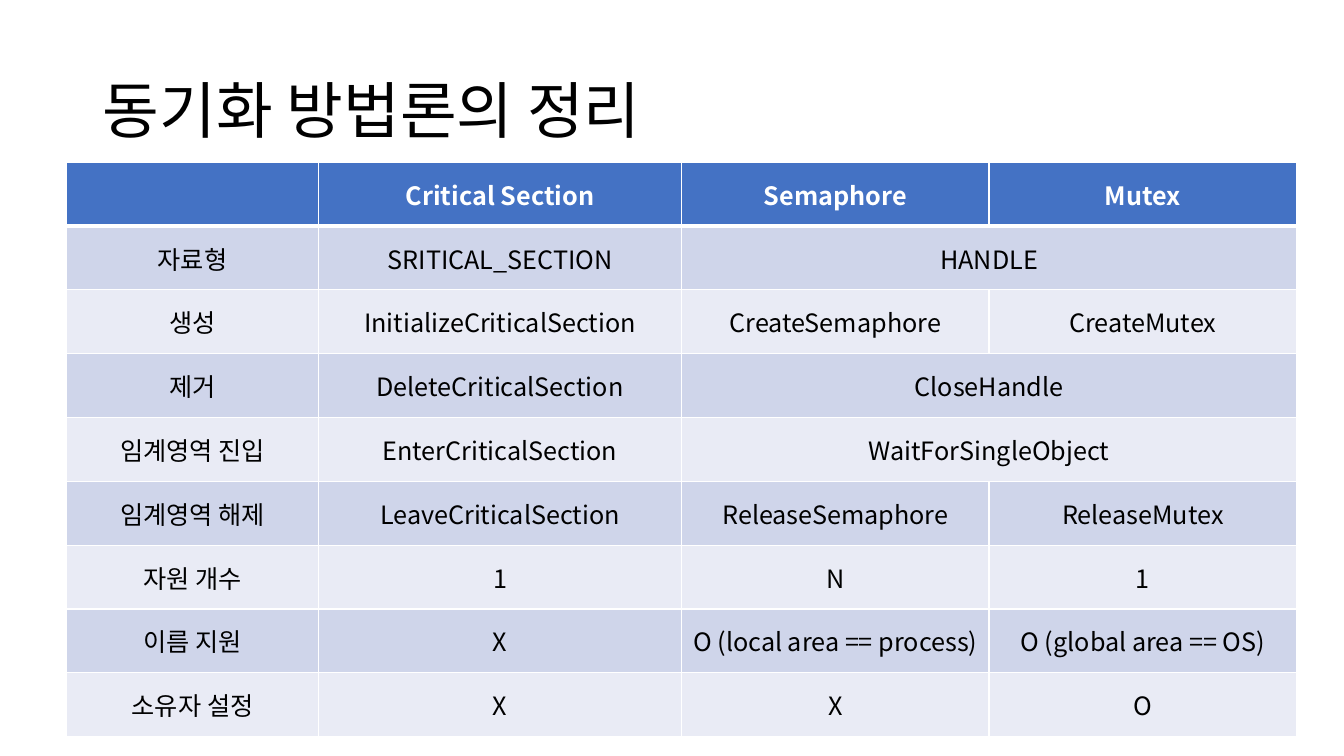
from dataclasses import dataclass

from lxml.etree import SubElement
from pptx import Presentation
from pptx.dml.color import RGBColor
from pptx.enum.text import MSO_ANCHOR as Anchor, PP_ALIGN as Align
from pptx.oxml.ns import qn
from pptx.util import Inches, Pt


@dataclass(frozen=True)
class Theme:
    font: str = "Noto Sans CJK KR"
    title_size: int = 44
    table_size: int = 18
    text: str = "000000"
    white: str = "FFFFFF"
    header: str = "4472C4"
    bands: tuple = ("CFD5EA", "E9EBF5")


theme = Theme()


def format_text(para, size, color, bold=False):
    for span in para.runs:
        span.font.name = theme.font
        span.font.size = Pt(size)
        span.font.bold = bold
        span.font.color.rgb = RGBColor.from_string(color)
        SubElement(span.font._element, qn("a:ea"), typeface=theme.font)


def add_border(cell, side, width):
    line = SubElement(cell._tc.get_or_add_tcPr(), qn(f"a:ln{side}"), w=str(Pt(width)))
    fill = SubElement(line, qn("a:solidFill"))
    SubElement(fill, qn("a:srgbClr"), val=theme.white)


deck = Presentation()
deck.slide_width, deck.slide_height = Inches(13.33), Inches(7.5)
page = deck.slides.add_slide(deck.slide_layouts[5])

# Title
title = page.shapes.title
title.left, title.top = Inches(0.92), Inches(0.4)
title.width, title.height = Inches(11.5), Inches(1.45)
title.text_frame.text = "동기화 방법론의 정리"
title.text_frame.vertical_anchor = Anchor.MIDDLE
para = title.text_frame.paragraphs[0]
para.alignment = Align.LEFT
para.line_spacing = 0.9
format_text(para, theme.title_size, theme.text)

# Comparison table: None continues the cell to its left
rows = [
    ("", "Critical Section", "Semaphore", "Mutex"),
    ("자료형", "SRITICAL_SECTION", "HANDLE", None),
    ("생성", "InitializeCriticalSection", "CreateSemaphore", "CreateMutex"),
    ("제거", "DeleteCriticalSection", "CloseHandle", None),
    ("임계영역 진입", "EnterCriticalSection", "WaitForSingleObject", None),
    ("임계영역 해제", "LeaveCriticalSection", "ReleaseSemaphore", "ReleaseMutex"),
    ("자원 개수", "1", "N", "1"),
    ("이름 지원", "X", "O (local area == process)", "O (global area == OS)"),
    ("소유자 설정", "X", "X", "O"),
]
column_widths = (2.5, 3.6, 3.05, 3.05)
table = page.shapes.add_table(
    len(rows), len(column_widths), Inches(0.66), Inches(1.61), Inches(12.2), Inches(5.7)
).table
for column, width in zip(table.columns, column_widths):
    column.width = Inches(width)

for r, labels in enumerate(rows):
    table.rows[r].height = Inches(5.7 / len(rows))
    is_header = r == 0
    background = theme.header if is_header else theme.bands[(r - 1) % 2]
    for c, label in enumerate(labels):
        cell = table.cell(r, c)
        for side in "LRTB":
            thick = (r, side) in ((0, "B"), (1, "T"))
            add_border(cell, side, 3 if thick else 1)
        cell.fill.solid()
        cell.fill.fore_color.rgb = RGBColor.from_string(background)
        if label is None:
            table.cell(r, c - 1).merge(cell)
            continue
        cell.vertical_anchor = Anchor.MIDDLE
        cell.text_frame.text = label
        para = cell.text_frame.paragraphs[0]
        para.alignment = Align.CENTER
        color = theme.white if is_header else theme.text
        format_text(para, theme.table_size, color, is_header)

deck.save("out.pptx")
